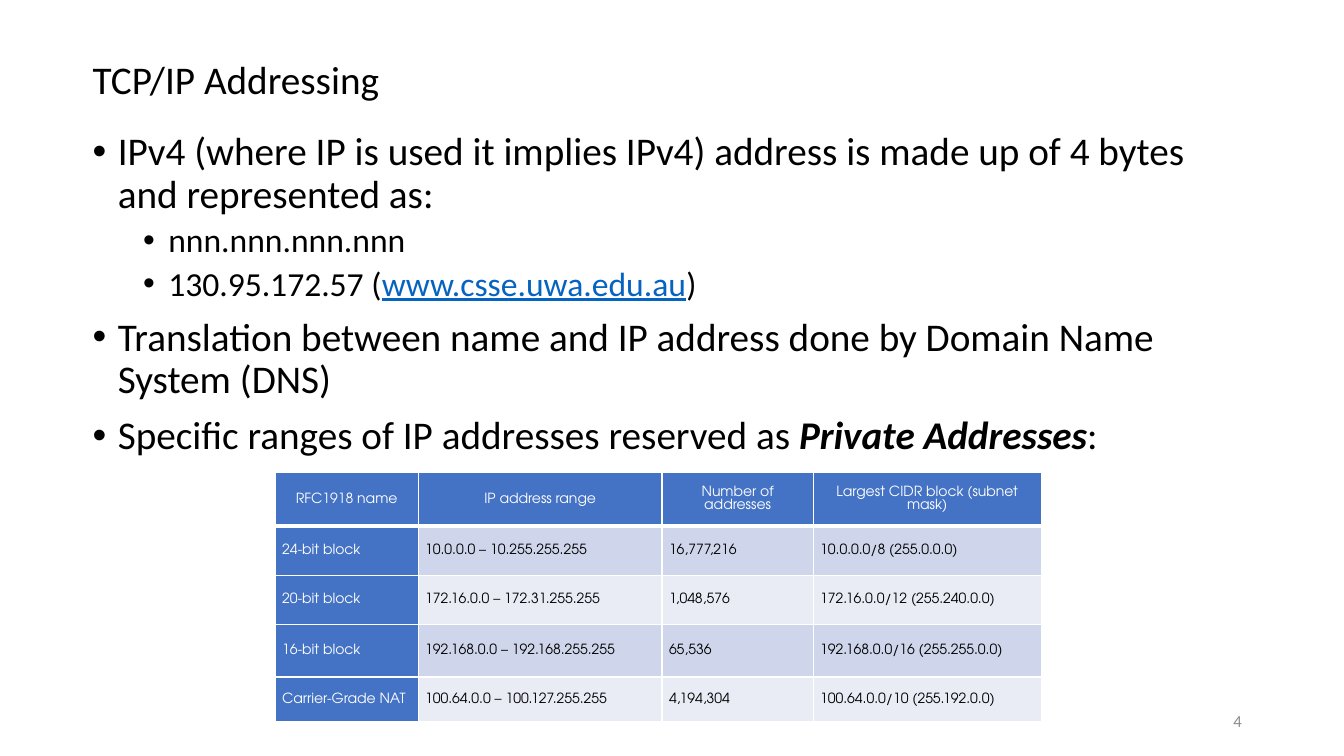
from lxml import etree
from pptx import Presentation
from pptx.dml.color import RGBColor
from pptx.enum import text as t
from pptx.oxml import ns
from pptx.util import Pt

# Content
TITLE = "TCP/IP Addressing"
PAGE_NUMBER = "4"
BULLETS = [  # level, runs of (text, format)
    (0, [("IPv4 (where IP is used it implies IPv4) address is made up of 4 bytes "
          "and represented as:", {})]),
    (1, [("nnn.nnn.nnn.nnn", {})]),
    (1, [("130.95.172.57 (", {}),
         ("www.csse.uwa.edu.au", {"color": "link", "underline": True}),
         (")", {})]),
    (0, [("Translation between name and IP address done by Domain Name "
          "System (DNS)", {})]),
    (0, [("Specific ranges of IP addresses reserved as ", {}),
         ("Private Addresses", {"bold": True, "italic": True}),
         (":", {})]),
]
ADDRESS_BLOCKS = [
    ("RFC1918 name", "IP address range", "Number of addresses",
     "Largest CIDR block (subnet mask)"),
    ("24-bit block", "10.0.0.0 – 10.255.255.255", "16,777,216",
     "10.0.0.0/8 (255.0.0.0)"),
    ("20-bit block", "172.16.0.0 – 172.31.255.255", "1,048,576",
     "172.16.0.0/12 (255.240.0.0)"),
    ("16-bit block", "192.168.0.0 – 192.168.255.255", "65,536",
     "192.168.0.0/16 (255.255.0.0)"),
    ("Carrier-Grade NAT", "100.64.0.0 – 100.127.255.255", "4,194,304",
     "100.64.0.0/10 (255.192.0.0)"),
]

# Look and measures, in points
COLORS = {"text": "000000", "link": "0563C1", "number": "8C8C8C",
          "white": "FFFFFF", "header": "4472C4",
          "band_dark": "CFD5EA", "band_light": "E9EBF5"}
TEXT_FONT, TABLE_FONT = "Calibri", "TeX Gyre Adventor"
LEVELS = [  # size, left indent, space before
    (28, 18, 10),
    (24, 54, 5),
]
HANGING = 18
COLUMN_WIDTHS = [102.2, 174.2, 108, 162.8]
ROW_HEIGHTS = [38.2, 35.2, 35.2, 37.4, 31.7]


def add_text(paragraph, text, size=28, font=TEXT_FONT, color="text", **styles):
    run = paragraph.add_run()
    run.text = text
    run.font.name = font
    run.font.size = Pt(size)
    run.font.color.rgb = RGBColor.from_string(COLORS[color])
    for style, value in styles.items():
        setattr(run.font, style, value)


def place(shape, left, top, width, height):
    shape.left, shape.top = Pt(left), Pt(top)
    shape.width, shape.height = Pt(width), Pt(height)
    shape.text_frame.word_wrap = True
    shape.text_frame.auto_size = t.MSO_AUTO_SIZE.NONE


def add_bullet(paragraph, left):
    properties = paragraph._p.get_or_add_pPr()
    properties.set("marL", str(Pt(left)))
    properties.set("indent", str(-Pt(HANGING)))
    etree.SubElement(properties, ns.qn("a:buFont"), typeface="Arial")
    etree.SubElement(properties, ns.qn("a:buChar"), char="•")


def add_border(cell, side, width):
    line = etree.SubElement(cell._tc.get_or_add_tcPr(), ns.qn("a:ln" + side),
                            w=str(Pt(width)))
    fill = etree.SubElement(line, ns.qn("a:solidFill"))
    etree.SubElement(fill, ns.qn("a:srgbClr"), val=COLORS["white"])


presentation = Presentation()
presentation.slide_width, presentation.slide_height = Pt(960), Pt(540)
slide = presentation.slides.add_slide(presentation.slide_layouts[1])

# Title
title = slide.shapes.title
place(title, 59, 25.9, 860.4, 64.8)
title.text_frame.vertical_anchor = t.MSO_ANCHOR.MIDDLE
paragraph = title.text_frame.paragraphs[0]
paragraph.alignment = t.PP_ALIGN.LEFT
paragraph.line_spacing = 0.9
add_text(paragraph, TITLE)

# Bulleted list
body = slide.placeholders[1]
place(body, 59, 90.7, 835.2, 394.6)
for index, (level, runs) in enumerate(BULLETS):
    frame = body.text_frame
    paragraph = frame.add_paragraph() if index else frame.paragraphs[0]
    size, left, space_before = LEVELS[level]
    paragraph.level = level
    add_bullet(paragraph, left)
    paragraph.line_spacing = 0.9
    paragraph.space_before = Pt(space_before if index else 0)
    for text, styles in runs:
        add_text(paragraph, text, size=size, **styles)

# Table of reserved ranges
table = slide.shapes.add_table(
    len(ROW_HEIGHTS), len(COLUMN_WIDTHS), Pt(196.5), Pt(337.7),
    Pt(sum(COLUMN_WIDTHS)), Pt(sum(ROW_HEIGHTS))).table
table.first_col = True
for column, width in zip(table.columns, COLUMN_WIDTHS):
    column.width = Pt(width)
for row, height in zip(table.rows, ROW_HEIGHTS):
    row.height = Pt(height)
for row_index, values in enumerate(ADDRESS_BLOCKS):
    for column_index, value in enumerate(values):
        cell = table.cell(row_index, column_index)
        is_header = row_index == 0 or column_index == 0
        band = "band_dark" if row_index % 2 else "band_light"
        cell.margin_left = cell.margin_right = Pt(5)
        cell.margin_top = cell.margin_bottom = Pt(2.2)
        cell.vertical_anchor = t.MSO_ANCHOR.MIDDLE
        for side in "LRTB":
            under_header = (side, row_index) in (("B", 0), ("T", 1))
            add_border(cell, side, 3 if under_header else 1)
        cell.fill.solid()
        cell.fill.fore_color.rgb = RGBColor.from_string(
            COLORS["header" if is_header else band])
        paragraph = cell.text_frame.paragraphs[0]
        paragraph.alignment = (t.PP_ALIGN.LEFT if row_index
                               else t.PP_ALIGN.CENTER)
        add_text(paragraph, value, size=10, font=TABLE_FONT,
                 color="white" if is_header else "text")

# Slide number
number = slide.shapes.add_textbox(0, 0, 0, 0)
place(number, 678.2, 500.4, 216, 28.8)
number.text_frame.vertical_anchor = t.MSO_ANCHOR.MIDDLE
paragraph = number.text_frame.paragraphs[0]
paragraph.alignment = t.PP_ALIGN.RIGHT
add_text(paragraph, PAGE_NUMBER, size=12, color="number")

presentation.save("out.pptx")
